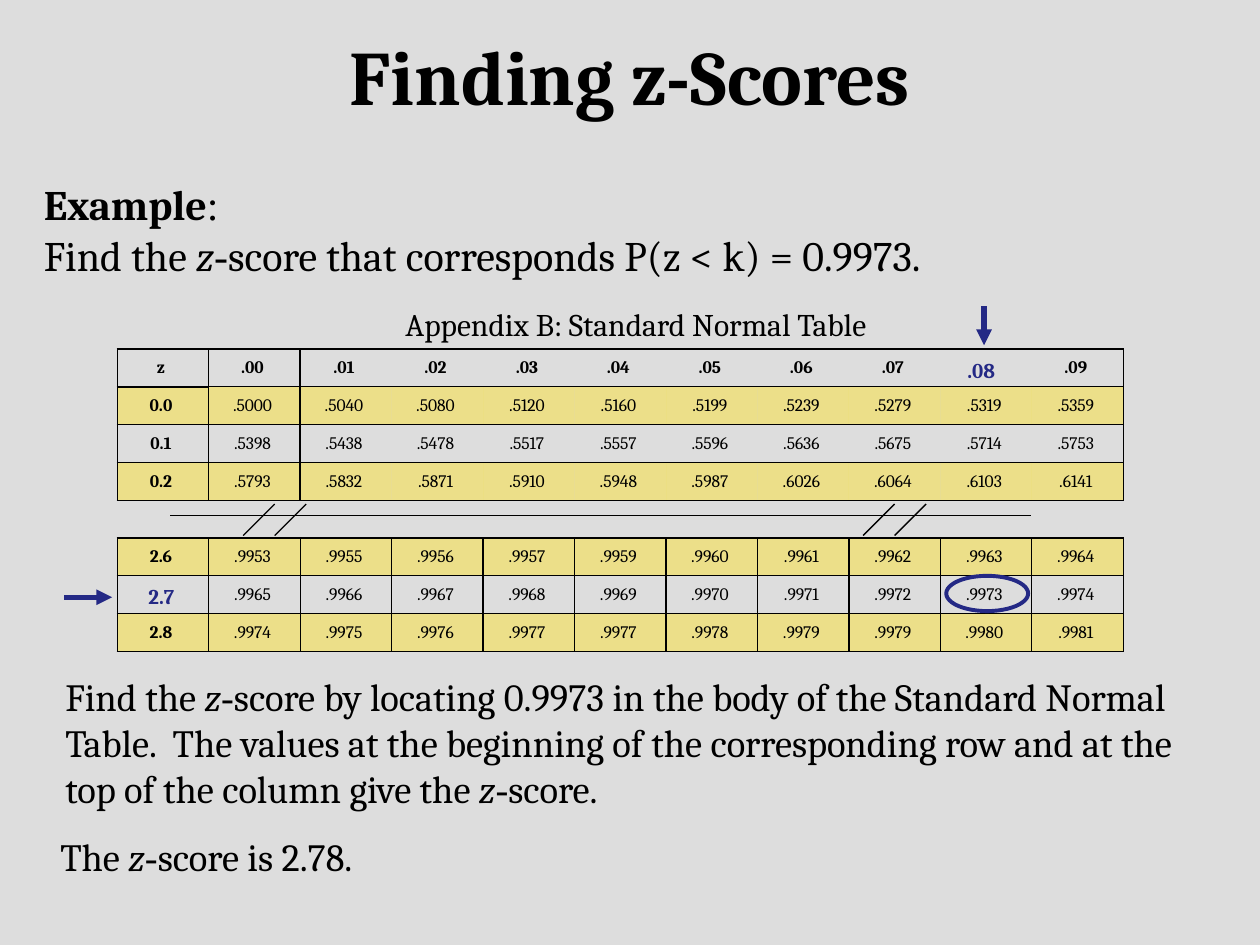
"""Builds a slide on finding a z-score from the standard normal table."""
import pptx
import pptx.util
import pptx.dml.color
import pptx.enum.shapes
import pptx.enum.text
import pptx.oxml.ns
import lxml.etree

Pt = pptx.util.Pt
rgb = pptx.dml.color.RGBColor.from_string
qn = pptx.oxml.ns.qn
align = pptx.enum.text.PP_ALIGN
anchor = pptx.enum.text.MSO_ANCHOR
fit = pptx.enum.text.MSO_AUTO_SIZE
kind = pptx.enum.shapes.MSO_SHAPE

theme = {
    "font": "Cambria", "plain": "Times New Roman",
    "ink": "000000", "mark": "242985", "band": "FBE136", "back": "DDDDDD",
    "title": 44, "lead": 24, "body": 22, "label": 18, "key": 12, "cell": 10,
}

deck = pptx.Presentation()
deck.slide_width = pptx.util.Inches(10)
deck.slide_height = pptx.util.Inches(7.5)
unit = deck.slide_width // 100
slide = deck.slides.add_slide(deck.slide_layouts[5])
slide.background.fill.solid()
slide.background.fill.fore_color.rgb = rgb(theme["back"])


def write(frame, text, size, color="ink", bold=False, side=align.LEFT):
    frame.text = text.replace("|", "")
    for para, line in zip(frame.paragraphs, text.split("\n")):
        para.alignment = side
        para.text = ""
        for part in line.split("|"):
            run = para.add_run()
            run.text = part
            font = run.font
            font.name = theme["plain" if part in (":", "-") else "font"]
            font.size = Pt(theme[size])
            font.bold = bold or part == "Example"
            font.italic = part == "z"
            font.color.rgb = rgb(theme[color])


def draw(shapes, ends, color, width, head=False):
    line = shapes.add_connector(
        pptx.enum.shapes.MSO_CONNECTOR.STRAIGHT, *[int(end * unit) for end in ends])
    line.line.color.rgb = rgb(theme[color])
    line.line.width = Pt(width)
    if head:
        lxml.etree.SubElement(line.line._get_or_add_ln(), qn("a:tailEnd"), type="triangle")
    lxml.etree.SubElement(line._element.spPr, qn("a:effectLst"))


title = slide.shapes.title
title.left, title.top = 0, 2 * unit
title.width, title.height = 100 * unit, int(7.9 * unit)
title.text_frame.vertical_anchor = anchor.MIDDLE
write(title.text_frame, "Finding z-Scores", "title", bold=True, side=align.CENTER)

left, wide, high = 9.3, 7.26, 3
upper = """z .00 .01 .02 .03 .04 .05 .06 .07 .08 .09
0.0 .5000 .5040 .5080 .5120 .5160 .5199 .5239 .5279 .5319 .5359
0.1 .5398 .5438 .5478 .5517 .5557 .5596 .5636 .5675 .5714 .5753
0.2 .5793 .5832 .5871 .5910 .5948 .5987 .6026 .6064 .6103 .6141"""
lower = """2.6 .9953 .9955 .9956 .9957 .9959 .9960 .9961 .9962 .9963 .9964
2.7 .9965 .9966 .9967 .9968 .9969 .9970 .9971 .9972 .9973 .9974
2.8 .9974 .9975 .9976 .9977 .9977 .9978 .9979 .9979 .9980 .9981"""

for top, block, grid, odd in ((27.7, upper, False, 1), (42.7, lower, True, 0)):
    rows = [line.split() for line in block.split("\n")]
    count = len(rows[0])
    frame = slide.shapes.add_table(
        len(rows), count, int(left * unit), int(top * unit),
        int(wide * count * unit), high * len(rows) * unit)
    table = frame.table
    table.first_row = table.horz_banding = False
    table._tbl.tblPr.find(qn("a:tableStyleId")).text = "{2D5ABB26-0587-4C30-8999-92F81FD0307C}"
    for row, vals in enumerate(rows):
        table.rows[row].height = high * unit
        for col, val in enumerate(vals):
            cell = table.cell(row, col)
            cell.vertical_anchor = anchor.MIDDLE
            bold = col == 0 or val in rows[0] and not grid
            write(cell.text_frame, val + " ", "cell", bold=bold, side=align.CENTER)
            thick = 0.75 if grid or col else 1
            sides = {"L": 0.75, "R": thick, "T": thick, "B": thick}
            if not grid and col == 1:
                sides["L"] = 1
            if not grid and col > 1:
                del sides["L"]
            if not grid and 0 < col < count - 1:
                del sides["R"]
            if row == len(rows) - 1:
                sides["B"] = 0.75
            props = cell._tc.get_or_add_tcPr()
            for side, width in sides.items():
                edge = lxml.etree.SubElement(props, qn("a:ln" + side), w=str(Pt(width)))
                fill = lxml.etree.SubElement(edge, qn("a:solidFill"))
                lxml.etree.SubElement(fill, qn("a:srgbClr"), val=theme["ink"])
            if row % 2 == odd:
                cell.fill.solid()
                cell.fill.fore_color.rgb = rgb(theme["band"])
                tint = props.find(qn("a:solidFill")).find(qn("a:srgbClr"))
                lxml.etree.SubElement(tint, qn("a:alpha"), val="50000")
            else:
                cell.fill.background()

gap = slide.shapes.add_group_shape()
draw(gap.shapes, (13.5, 40.9, 81.8, 40.9), "ink", 0.75)
for start in (19.3, 68.5):
    for step in (0, 2.5):
        draw(gap.shapes, (start + step + 2.5, 40, start + step, 42.5), "ink", 0.75)

ring = slide.shapes.add_shape(
    kind.OVAL, *[int(size * unit) for size in (75.1, 45.7, 6.5, 2.8)])
ring.shadow.inherit = False
ring.fill.background()
ring.line.color.rgb = rgb(theme["mark"])
ring.line.width = Pt(2.25)

notes = (
    (2.5, 13.7, 88.3, 9.1, "lead", True,
     "Example|:\nFind the |z|-|score that corresponds P(z < k) = 0.9973."),
    (4.2, 52.9, 92.4, 12, "body", True,
     "Find the |z|-|score by locating 0.9973 in the body of the Standard Normal "
     "Table.  The values at the beginning of the corresponding row and at the "
     "top of the column give the |z|-|score."),
    (3.8, 65.6, 40.8, 4.7, "body", True, "The |z|-|score is 2.78."),
    (31.2, 23.7, 44.4, 4, "label", False, "Appendix B: Standard Normal Table"),
)
for *place, size, wrap, text in notes:
    box = slide.shapes.add_textbox(*[int(part * unit) for part in place])
    write(box.text_frame, text, size)
    box.text_frame.word_wrap = wrap
    box.text_frame.auto_size = fit.SHAPE_TO_FIT_TEXT

for ends in ((5.1, 47.4, 8.9, 47.4), (78.1, 24.3, 78.1, 27.4)):
    draw(slide.shapes, ends, "mark", 3, True)

for *place, text in ((10.8, 46.3, 4.8, 2, "2.7"), (75.8, 28.4, 4.3, 2, ".08")):
    key = slide.shapes.add_shape(kind.RECTANGLE, *[int(part * unit) for part in place])
    key.shadow.inherit = False
    key.fill.solid()
    key.fill.fore_color.rgb = rgb(theme["back"])
    key.line.fill.background()
    frame = key.text_frame
    write(frame, text, "key", "mark", True)
    frame.margin_top = frame.margin_bottom = 0
    frame.vertical_anchor = anchor.TOP
    frame.word_wrap = False
    frame.auto_size = fit.SHAPE_TO_FIT_TEXT

deck.save("out.pptx")
